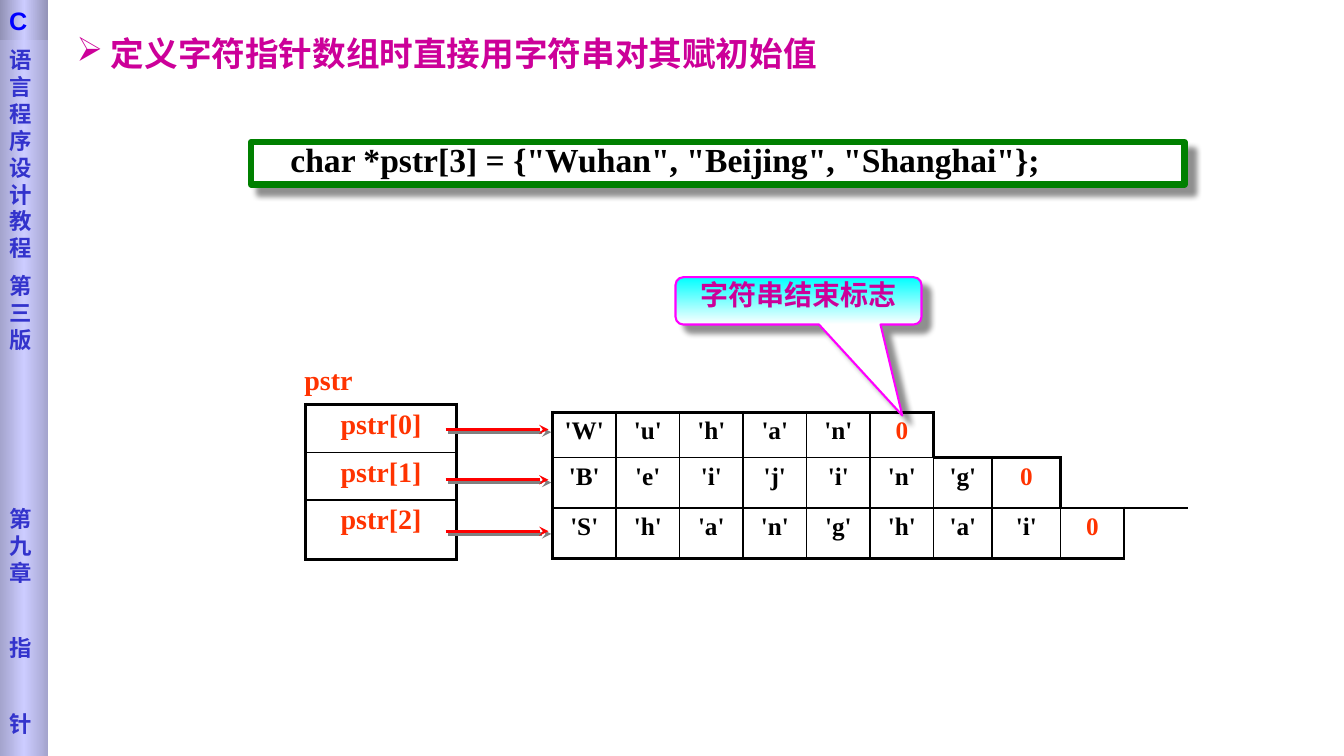
import pptx
import pptx.dml.color
import pptx.enum.shapes
import pptx.enum.text
import pptx.oxml
import pptx.oxml.ns
import pptx.util

Inches = pptx.util.Inches
Pt = pptx.util.Pt
SHAPES = pptx.enum.shapes.MSO_SHAPE
ALIGN = pptx.enum.text.PP_ALIGN
ANCHOR = pptx.enum.text.MSO_ANCHOR

SERIF = "Times New Roman"
BLACK, ORANGE, MAGENTA = "000000", "FF3300", "CC0099"
THICK, THIN = 2.25, 1
WORDS = ["Wuhan", "Beijing", "Shanghai"]
CHAR_WIDTHS = [0.63] * 6 + [0.58, 0.68, 0.63, 0.63]


def colour(value):
    return pptx.dml.color.RGBColor.from_string(value)


def add_xml(parent, tag, content="", attributes=""):
    """Append one DrawingML element to parent and return it."""
    namespace = pptx.oxml.ns.nsdecls("a")
    element = pptx.oxml.parse_xml(
        f"<a:{tag} {namespace} {attributes}>{content}</a:{tag}>")
    parent.append(element)
    return element


def set_gradient(shape, colours, angle):
    shape.fill.background()
    properties = shape.fill._xPr
    step = 100000 // (len(colours) - 1)
    stops = "".join(f'<a:gs pos="{index * step}"><a:srgbClr val="{value}"/></a:gs>'
                    for index, value in enumerate(colours))
    gradient = add_xml(properties, "gradFill",
                       f'<a:gsLst>{stops}</a:gsLst><a:lin ang="{angle * 60000}" scaled="0"/>')
    properties.replace(properties.find(pptx.oxml.ns.qn("a:noFill")), gradient)


def set_shadow(properties, value, alpha, blur, distance):
    """Cast a shadow to the lower right; call after fill and line are set."""
    add_xml(properties, "effectLst",
            f'<a:outerShdw blurRad="{Pt(blur)}" dist="{Pt(distance)}" dir="2700000" '
            f'algn="ctr" rotWithShape="0"><a:srgbClr val="{value}">'
            f'<a:alpha val="{alpha * 1000}"/></a:srgbClr></a:outerShdw>')


def write(para, text, size, value, font=SERIF, align=ALIGN.LEFT):
    para.text = text
    para.alignment = align
    for span in para.runs:
        span.font.size = Pt(size)
        span.font.name = font
        span.font.bold = True
        span.font.color.rgb = colour(value)


def add_panel(slide, preset, left, top, width, height, line=None, weight=0):
    panel = slide.shapes.add_shape(preset, Inches(left), Inches(top),
                                   Inches(width), Inches(height))
    panel.fill.solid()
    panel.fill.fore_color.rgb = colour("FFFFFF")
    if line:
        panel.line.color.rgb = colour(line)
        panel.line.width = Pt(weight)
        set_shadow(panel.fill._xPr, BLACK, 43, 4, 8.4)
    else:
        panel.line.fill.background()
        panel.shadow.inherit = False
    panel.text_frame.word_wrap = True
    return panel


def add_sidebar(slide, left, top, width, height):
    bar = add_panel(slide, SHAPES.RECTANGLE, left, top, width, height)
    set_gradient(bar, ["A4A4CD", "CCCCFF", "A4A4CD"], 0)
    head = add_panel(slide, SHAPES.RECTANGLE, left, top, width, 0.4)
    set_gradient(head, ["9292B6", "CCCCFF", "9292B6"], 0)
    for panel in (bar, head):
        panel.text_frame.margin_left = panel.text_frame.margin_right = Inches(0.09)
    write(head.text_frame.paragraphs[0], "C", 18, "0000FF", "Arial")

    frame = bar.text_frame
    frame.vertical_anchor = ANCHOR.TOP
    frame.margin_top = Inches(0.46)
    labels = [("语言程序设计教程", 0), ("第三版", 8), ("第九章", 108.5),
              ("指", 35), ("针", 35)]
    frame.text = "\n".join(text for text, gap in labels)
    for para, (text, gap) in zip(frame.paragraphs, labels):
        write(para, text, 16, "3333CC", "DejaVu Sans")
        if gap:
            para.space_before = Pt(gap)


def add_title(slide, left, top, width, height):
    title = slide.shapes.title
    title.left, title.top = Inches(left), Inches(top)
    title.width, title.height = Inches(width), Inches(height)
    frame = title.text_frame
    frame.auto_size = pptx.enum.text.MSO_AUTO_SIZE.NONE
    frame.vertical_anchor = ANCHOR.MIDDLE
    para = frame.paragraphs[0]
    properties = para._p.get_or_add_pPr()
    properties.set("marL", str(Inches(0.34)))
    properties.set("indent", str(-Inches(0.34)))
    add_xml(properties, "buChar", attributes='char="➢"')
    write(para, "定义字符指针数组时直接用字符串对其赋初始值", 24, MAGENTA)


def add_code(slide, left, top, width, height):
    box = add_panel(slide, SHAPES.RECTANGLE, left, top, width, height, "008000", 4.5)
    box.text_frame.margin_left = Inches(0.39)
    para = box.text_frame.paragraphs[0]
    write(para, 'char *pstr[3] = {"Wuhan", "Beijing", "Shanghai"};', 24, BLACK)
    para.line_spacing = 0.8


def add_callout(slide, left, top, width, height):
    callout = add_panel(slide, SHAPES.ROUNDED_RECTANGULAR_CALLOUT,
                        left, top, width, height, "FF00FF", 1.5)
    for index, value in enumerate([0.422, 2.419, 0.167]):
        callout.adjustments[index] = value
    set_gradient(callout, ["00FFFF", "FFFFFF"], 90)
    callout.text_frame.vertical_anchor = ANCHOR.TOP
    para = callout.text_frame.paragraphs[0]
    write(para, "字符串结束标志", 20, MAGENTA, align=ALIGN.CENTER)
    para.line_spacing = 0.8


def set_borders(cell, widths):
    """Set left, right, top and bottom border widths; zero means no line."""
    properties = cell._tc.get_or_add_tcPr()
    for side, width in zip("LRTB", widths):
        paint = (f'<a:solidFill><a:srgbClr val="{BLACK}"/></a:solidFill>'
                 if width else "<a:noFill/>")
        add_xml(properties, f"ln{side}", paint, f'w="{Pt(width)}"')


def add_cells(slide, left, top, widths, heights, rows, size, value):
    """Add a table whose outline follows rows of unequal length."""
    frame = slide.shapes.add_table(len(heights), len(widths), Inches(left), Inches(top),
                                   Inches(sum(widths)), Inches(sum(heights)))
    table = frame.table
    table.first_row = table.horz_banding = False
    for column, width in zip(table.columns, widths):
        column.width = Inches(width)
    for row, height in zip(table.rows, heights):
        row.height = Inches(height)

    def used(row, column):
        return 0 <= row < len(rows) and 0 <= column < len(rows[row])

    for row, texts in enumerate(rows):
        for column in range(len(widths)):
            cell = table.cell(row, column)
            here = used(row, column)
            neighbours = [(row, column - 1), (row, column + 1),
                          (row - 1, column), (row + 1, column)]
            set_borders(cell, [(THIN if here else 0) if used(*other) == here else THICK
                               for other in neighbours])
            cell.fill.background()
            if here:
                text = texts[column]
                write(cell.text_frame.paragraphs[0], text, size,
                      ORANGE if text == "0" else value, align=ALIGN.CENTER)
    return table


def add_pointers(slide, left, top):
    label = slide.shapes.add_textbox(Inches(left - 0.11), Inches(top - 0.4),
                                     Inches(1.1), Inches(0.37))
    label.text_frame.word_wrap = True
    para = label.text_frame.paragraphs[0]
    write(para, "pstr", 20, ORANGE)
    para.line_spacing = 0.8
    names = [[f"pstr[{index}]"] for index in range(len(WORDS))]
    add_cells(slide, left, top, [1.5], [0.48, 0.47, 0.59], names, 20, ORANGE)


def add_strings(slide, left, top):
    rows = [[f"'{letter}'" for letter in word] + ["0"] for word in WORDS]
    table = add_cells(slide, left, top, CHAR_WIDTHS, [0.45, 0.5, 0.5], rows, 18, BLACK)
    step, end = table.cell(1, 8), table.cell(1, 9)
    step.merge(end)
    for cell, widths in ((step, [THICK, 0, THICK * 0, THICK]), (end, [0, 0, 0, THICK])):
        properties = cell._tc.get_or_add_tcPr()
        for border in list(properties):
            properties.remove(border)
        set_borders(cell, widths)
        cell.fill.background()


def add_arrows(slide, left, right, levels):
    for level in levels:
        arrow = slide.shapes.add_connector(pptx.enum.shapes.MSO_CONNECTOR.STRAIGHT,
                                           Inches(left), Inches(level),
                                           Inches(right), Inches(level))
        arrow.line.color.rgb = colour("FF0000")
        arrow.line.width = Pt(2.25)
        add_xml(arrow.line._get_or_add_ln(), "tailEnd", attributes='type="stealth"')
        set_shadow(arrow._element.spPr, "808080", 100, 0, 2.8)


def main():
    deck = pptx.Presentation()
    deck.slide_width, deck.slide_height = Inches(13.33), Inches(7.5)
    slide = deck.slides.add_slide(deck.slide_layouts[5])
    add_title(slide, 0.66, 0.28, 8.03, 0.5)
    add_code(slide, 2.49, 1.41, 9.26, 0.42)
    add_pointers(slide, 3.03, 4.01)
    add_strings(slide, 5.48, 4.09)
    add_arrows(slide, 4.42, 5.44, [4.26, 4.76, 5.27])
    add_callout(slide, 6.7, 2.75, 2.44, 0.47)
    add_sidebar(slide, 0, 0, 0.48, 7.5)
    deck.save("out.pptx")


if __name__ == "__main__":
    main()
